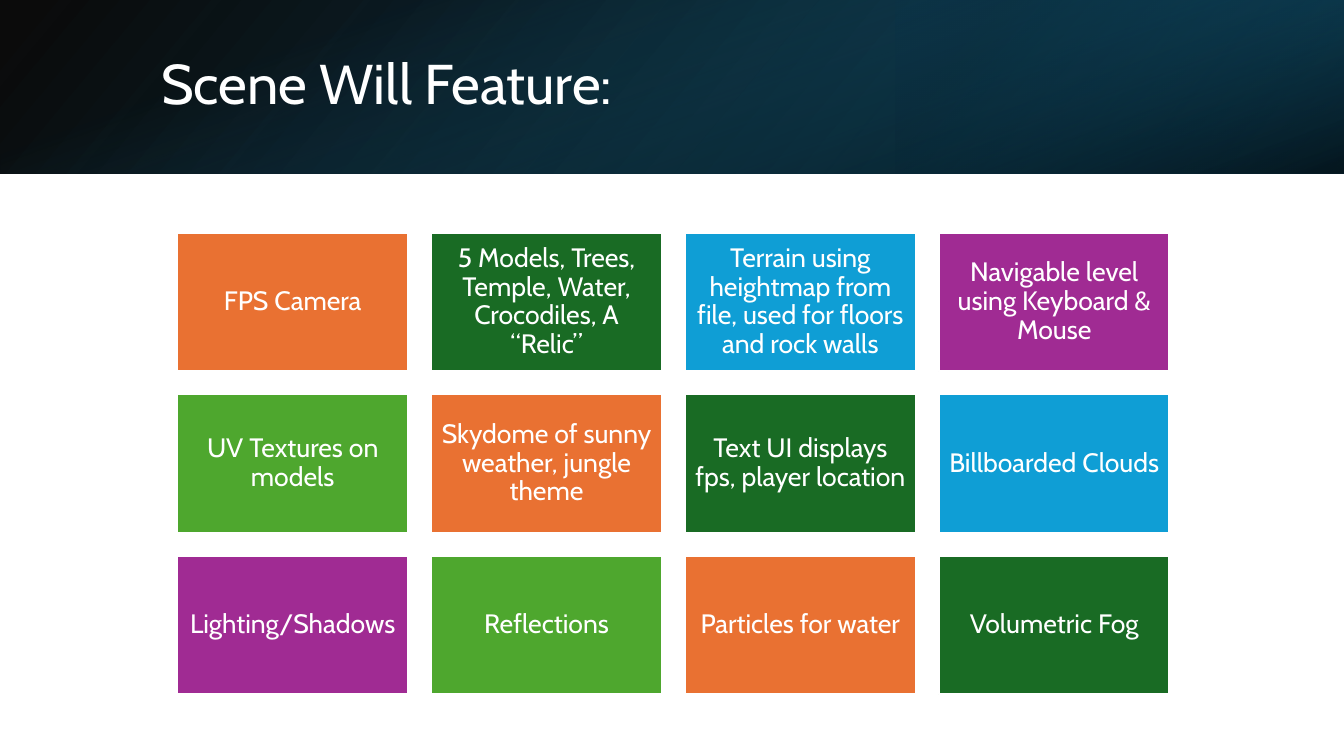
from dataclasses import dataclass
from pptx import Presentation
from pptx.dml.color import RGBColor
from pptx.enum.shapes import MSO_SHAPE as Preset
from pptx.enum.text import MSO_ANCHOR as Anchor, PP_ALIGN as Align
from pptx.oxml import parse_xml
from pptx.oxml.ns import nsdecls, qn
from pptx.util import Inches, Pt


@dataclass(frozen=True)
class Theme:
    font: str = "Cabin"
    white: str = "FFFFFF"
    black: str = "000000"
    teal: str = "156082"
    teal_dark: str = "104862"
    teal_deep: str = "0B3041"
    tiles: tuple = ("E97132", "196B24", "0F9ED5", "A02B93", "4EA72E")
    title_size: int = 40
    tile_size: int = 19
    line_spacing: float = 0.9


@dataclass(frozen=True)
class Box:
    left: float
    top: float
    width: float
    height: float

    def inches(self):
        return [Inches(v) for v in (self.left, self.top, self.width, self.height)]

    def turned(self):
        """The frame that covers this box once rotated by a quarter turn."""
        shift = (self.width - self.height) / 2
        return Box(self.left + shift, self.top - shift, self.height, self.width)


THEME = Theme()
WIDTH, HEIGHT = 13.33, 7.5
COLUMNS, ROWS, GAP = 4, 3, 0.23
FEATURES = (
    "FPS Camera",
    "5 Models, Trees, Temple, Water, Crocodiles, A “Relic”",
    "Terrain using heightmap from file, used for floors and rock walls",
    "Navigable level using Keyboard & Mouse",
    "UV Textures on models",
    "Skydome of sunny weather, jungle theme",
    "Text UI displays fps, player location",
    "Billboarded Clouds",
    "Lighting/Shadows",
    "Reflections",
    "Particles for water",
    "Volumetric Fog",
)


def write(shape, text, size, align, inset=None):
    frame = shape.text_frame
    frame.word_wrap = True
    frame.vertical_anchor = Anchor.MIDDLE
    if inset is not None:
        frame.margin_left = frame.margin_right = Inches(inset)
        frame.margin_top = frame.margin_bottom = Inches(inset)
    frame.text = text
    para = frame.paragraphs[0]
    para.alignment = align
    para.line_spacing = THEME.line_spacing
    font = para.runs[0].font
    font.name = THEME.font
    font.size = Pt(size)
    font.color.rgb = RGBColor.from_string(THEME.white)


def add_rect(page, box):
    rect = page.shapes.add_shape(Preset.RECTANGLE, *box.inches())
    rect.shadow.inherit = False
    return rect


def add_gradient(page, box, stops, angle, rotation=0, flip=False):
    """Rectangle with stops of (position %, colour, opacity %)."""
    rect = add_rect(page, box)
    rect.line.fill.background()
    rect.fill.background()
    rect.rotation = rotation
    properties = rect._element.spPr
    if flip:
        properties.find(qn("a:xfrm")).set("flipH", "1")
    stops_xml = "".join(
        f'<a:gs pos="{position * 1000}"><a:srgbClr val="{colour}">'
        f'<a:alpha val="{opacity * 1000}"/></a:srgbClr></a:gs>'
        for position, colour, opacity in stops)
    gradient = parse_xml(
        f'<a:gradFill {nsdecls("a")} rotWithShape="1"><a:gsLst>{stops_xml}</a:gsLst>'
        f'<a:lin ang="{angle * 60000}" scaled="0"/></a:gradFill>')
    properties.replace(properties.find(qn("a:noFill")), gradient)


def add_banner(page, box, title):
    right_third = Box(box.left + box.width * 2 / 3, box.top, box.width / 3, box.height)
    add_gradient(page, box, [(0, THEME.black, 96), (100, THEME.teal_dark, 100)],
                 140, flip=True)
    add_gradient(page, right_third, [(19, THEME.teal_deep, 68), (100, THEME.teal, 79)],
                 320, rotation=180, flip=True)
    add_gradient(page, box.turned(), [(23, THEME.teal, 0), (99, THEME.black, 74)],
                 340, rotation=90)
    title_box = Box(box.left + 1.5, box.top + 0.38, 10.98, 0.96)
    write(page.shapes.add_textbox(*title_box.inches()), title,
          THEME.title_size, Align.LEFT)


def add_feature_grid(page, box, features):
    width = (box.width - GAP * (COLUMNS - 1)) / COLUMNS
    height = (box.height - GAP * (ROWS - 1)) / ROWS
    for index, feature in enumerate(features):
        row, column = divmod(index, COLUMNS)
        tile = add_rect(page, Box(box.left + column * (width + GAP),
                                  box.top + row * (height + GAP), width, height))
        tile.fill.solid()
        colour = THEME.tiles[index % len(THEME.tiles)]
        tile.fill.fore_color.rgb = RGBColor.from_string(colour)
        tile.line.color.rgb = RGBColor.from_string(THEME.white)
        tile.line.width = Pt(1.5)
        write(tile, feature, THEME.tile_size, Align.CENTER, inset=0.08)


def main():
    deck = Presentation()
    deck.slide_width, deck.slide_height = Inches(WIDTH), Inches(HEIGHT)
    page = deck.slides.add_slide(deck.slide_layouts[6])
    add_banner(page, Box(0, 0, WIDTH, 1.72), "Scene Will Feature:")
    add_feature_grid(page, Box(1.76, 2.31, 9.84, 4.58), FEATURES)
    deck.save("out.pptx")


if __name__ == "__main__":
    main()
